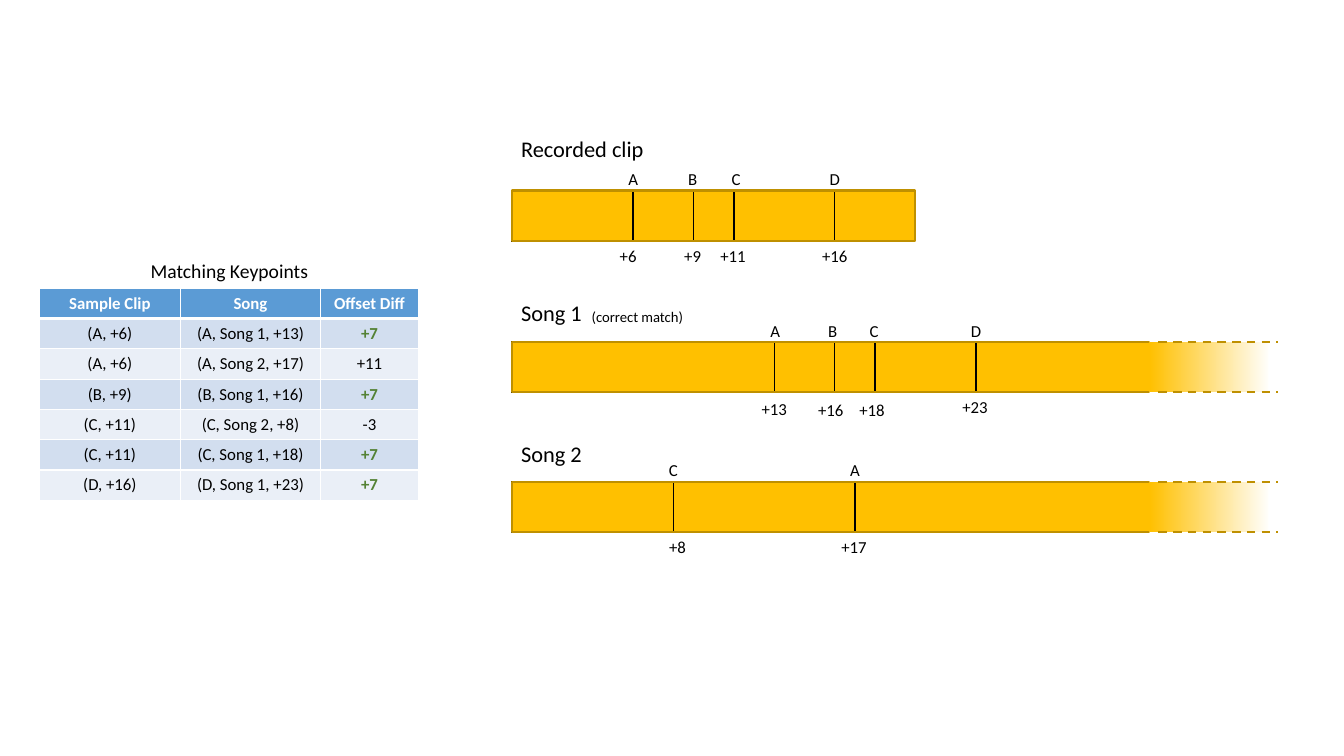
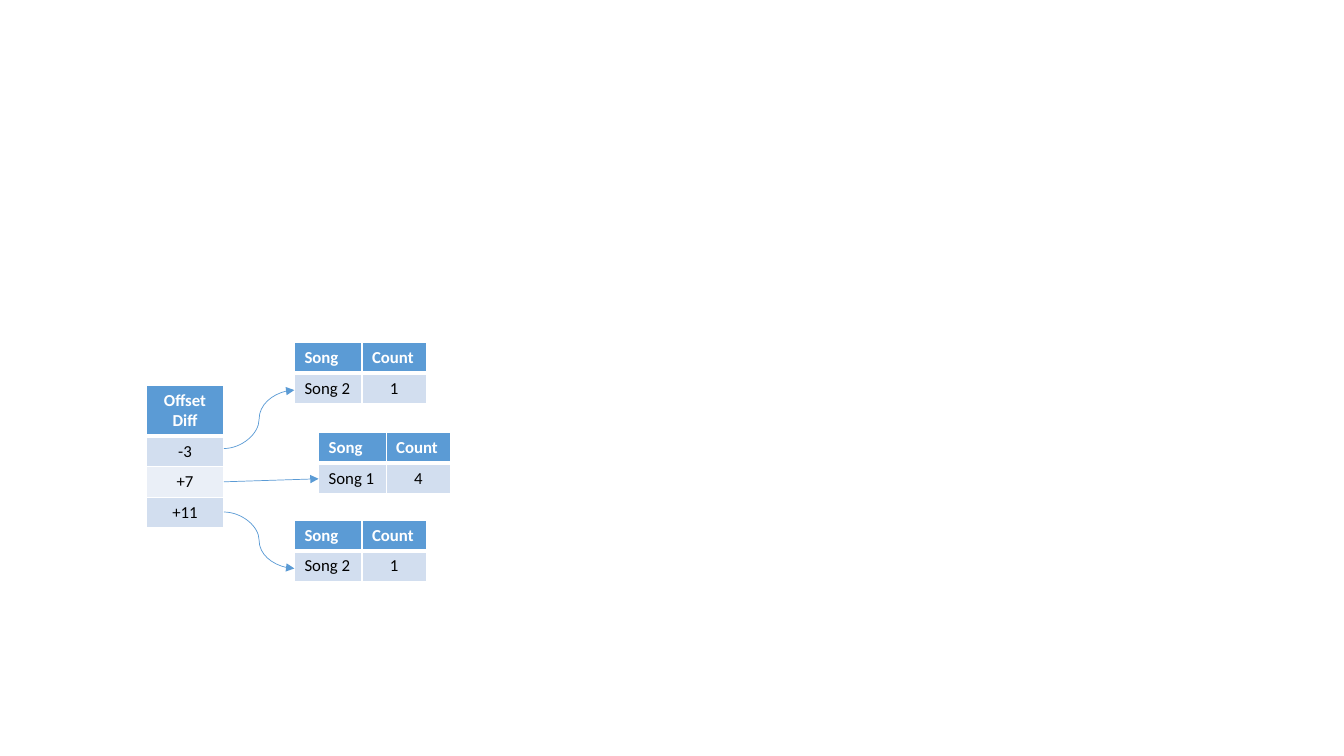
from lxml import etree
from pptx import Presentation
from pptx import util as u
from pptx.dml.color import RGBColor
from pptx.enum import dml, shapes, text
from pptx.oxml import ns

Inches, Pt = u.Inches, u.Pt
LEFT, CENTER = text.PP_ALIGN.LEFT, text.PP_ALIGN.CENTER

FONT = "Calibri"
BLACK = RGBColor(0x00, 0x00, 0x00)
WHITE = RGBColor(0xFF, 0xFF, 0xFF)
GOLD = RGBColor(0xFF, 0xC0, 0x00)
DARK_GOLD = RGBColor(0xBF, 0x90, 0x00)
BLUE = RGBColor(0x5B, 0x9B, 0xD5)
BAND_DARK = RGBColor(0xD2, 0xDE, 0xEF)
BAND_LIGHT = RGBColor(0xEA, 0xEF, 0xF7)
GREEN = RGBColor(0x54, 0x82, 0x35)

# Timeline scale
TRACK_LEFT, TRACK_HEIGHT = 5.08, 0.5
INCHES_PER_STEP = 0.2
SONG_WIDTH, FADE_WIDTH = 6.32, 1.2
LABEL_WIDTH, LABEL_HEIGHT = 0.46, 0.3

# Keypoints: letter, offset, letter nudge, number nudge, number drop below the bar
TRACKS = [
    {"title": "Recorded clip", "top": 1.89, "title_top": 1.29, "width": 4,
     "fades": False, "letter_rise": 0.27,
     "keypoints": [("A", 6, 0, -0.05, 0.5), ("B", 9, -0.01, -0.01, 0.5),
                   ("C", 11, 0.02, -0.01, 0.5), ("D", 16, 0, 0, 0.5)]},
    {"title": "Song 1", "note": "(correct match)", "top": 3.39, "title_top": 2.92,
     "width": SONG_WIDTH, "fades": True, "letter_rise": 0.26,
     "keypoints": [("A", 13, 0.01, 0, 0.52), ("B", 16, -0.02, -0.04, 0.53),
                   ("C", 18, -0.01, -0.03, 0.53), ("D", 23, 0, -0.01, 0.5)]},
    {"title": "Song 2", "top": 4.78, "title_top": 4.32, "width": SONG_WIDTH,
     "fades": True, "letter_rise": 0.27,
     "keypoints": [("A", 17, 0, -0.01, 0.5), ("C", 8, 0, 0.04, 0.5)]},
]

MATCHES = [
    ("Sample Clip", "Song", "Offset Diff"),
    ("(A, +6)", "(A, Song 1, +13)", "+7"),
    ("(A, +6)", "(A, Song 2, +17)", "+11"),
    ("(B, +9)", "(B, Song 1, +16)", "+7"),
    ("(C, +11)", "(C, Song 2, +8)", "-3"),
    ("(C, +11)", "(C, Song 1, +18)", "+7"),
    ("(D, +16)", "(D, Song 1, +23)", "+7"),
]
OFFSETS = [("Offset Diff",), ("-3",), ("+7",), ("+11",)]

# Count tables: left, top, song, count
COUNTS = [(2.92, 3.4, "Song 2", "1"), (3.16, 4.29, "Song 1", "4"), (2.92, 5.16, "Song 2", "1")]

CURVE, STRAIGHT = shapes.MSO_CONNECTOR.CURVE, shapes.MSO_CONNECTOR.STRAIGHT
ARROWS = [
    (CURVE, 2.22, 4.45, 2.92, 3.87),
    (CURVE, 2.22, 5.08, 2.92, 5.64),
    (STRAIGHT, 2.22, 4.78, 3.16, 4.75),
]


def write_text(frame, content, size=12, color=BLACK, bold=False, align=LEFT):
    paragraph = frame.paragraphs[0]
    paragraph.alignment = align
    run = paragraph.add_run()
    run.text = content
    run.font.name, run.font.size, run.font.bold = FONT, Pt(size), bold
    run.font.color.rgb = color


def add_label(container, content, left, top, width, height, wrap=True, **style):
    box = container.add_textbox(Inches(left), Inches(top), Inches(width), Inches(height))
    box.text_frame.word_wrap = wrap
    write_text(box.text_frame, content, **style)


def add_bar(container, left, top, width, fill=None, line=None, line_width=1):
    bar = container.add_shape(shapes.MSO_SHAPE.RECTANGLE, Inches(left), Inches(top),
                              Inches(width), Inches(TRACK_HEIGHT))
    bar.shadow.inherit = False
    if fill is None:
        bar.fill.background()
    else:
        bar.fill.solid()
        bar.fill.fore_color.rgb = fill
    if line is None:
        bar.line.fill.background()
    else:
        bar.line.color.rgb = line
        bar.line.width = Pt(line_width)
    return bar


def add_line(container, x1, y1, x2, y2, color=BLACK, width=1, kind=STRAIGHT,
             dashed=False, arrow=False):
    connector = container.add_connector(kind, Inches(x1), Inches(y1), Inches(x2), Inches(y2))
    connector.line.color.rgb = color
    connector.line.width = Pt(width)
    if dashed:
        connector.line.dash_style = dml.MSO_LINE.DASH
    properties = connector._element.spPr
    if arrow:
        etree.SubElement(properties.find(ns.qn("a:ln")), ns.qn("a:tailEnd"), type="triangle")
    etree.SubElement(properties, ns.qn("a:effectLst"))


def set_borders(cell, top, bottom):
    widths = {"a:lnL": 1, "a:lnR": 1, "a:lnT": top, "a:lnB": bottom}
    properties = cell._tc.get_or_add_tcPr()
    for index, (tag, width) in enumerate(widths.items()):
        border = etree.Element(ns.qn(tag), w=str(Pt(width)))
        fill = etree.SubElement(border, ns.qn("a:solidFill"))
        etree.SubElement(fill, ns.qn("a:srgbClr"), val=str(WHITE))
        properties.insert(index, border)


def add_grid(slide, rows, left, top, widths, header_height=0.3, left_cells=()):
    """Add a banded table; left_cells lists the (row, column) cells set flush left."""
    heights = [header_height] + [0.3] * (len(rows) - 1)
    table = slide.shapes.add_table(len(rows), len(widths), Inches(left), Inches(top),
                                   Inches(sum(widths)), Inches(sum(heights))).table
    for column, width in zip(table.columns, widths):
        column.width = Inches(width)
    for r, values in enumerate(rows):
        table.rows[r].height = Inches(heights[r])
        for c, value in enumerate(values):
            cell = table.cell(r, c)
            header = r == 0
            hit = len(widths) == 3 and value == "+7"
            cell.fill.solid()
            cell.fill.fore_color.rgb = BLUE if header else BAND_DARK if r % 2 else BAND_LIGHT
            set_borders(cell, top=3 if r == 1 else 1, bottom=3 if header else 1)
            write_text(cell.text_frame, value, bold=header or hit,
                       color=WHITE if header else GREEN if hit else BLACK,
                       align=LEFT if (r, c) in left_cells else CENTER)


def add_fade(container, top):
    """Let the bar run out to white between two dashed edges."""
    end = TRACK_LEFT + SONG_WIDTH
    fade = add_bar(container, end, top, FADE_WIDTH)
    fade.fill.gradient()
    fade.fill.gradient_angle = 180
    for stop, position, color in zip(fade.fill.gradient_stops, (0, 1), (WHITE, GOLD)):
        stop.position = position
        stop.color.rgb = color
    for y in (top, top + TRACK_HEIGHT):
        add_line(container, end + 0.09, y, end + 1.28, y, DARK_GOLD, 1.5, dashed=True)
    add_line(container, end, top + 0.01, end, top + TRACK_HEIGHT - 0.01, GOLD, 1.5)


def add_track(slide, track):
    container = slide.shapes.add_group_shape().shapes
    top, width, keypoints = track["top"], track["width"], track["keypoints"]
    add_bar(container, TRACK_LEFT, top, width, fill=GOLD)
    # Each segment runs from the start to its keypoint
    for _, offset, *_ in reversed(keypoints):
        add_bar(container, TRACK_LEFT, top, offset * INCHES_PER_STEP, line=BLACK)
    add_bar(container, TRACK_LEFT, top, width, line=DARK_GOLD, line_width=1.5)
    if track["fades"]:
        add_fade(container, top)
    for letter, offset, letter_nudge, number_nudge, drop in keypoints:
        x = TRACK_LEFT + offset * INCHES_PER_STEP
        for content, nudge, y in ((letter, letter_nudge, top - track["letter_rise"]),
                                  (f"+{offset}", number_nudge, top + drop)):
            add_label(container, content, x + nudge - LABEL_WIDTH / 2, y,
                      LABEL_WIDTH, LABEL_HEIGHT, wrap=False, align=CENTER)
    add_label(container, track["title"], 5.07, track["title_top"], 2.2, 0.37, size=16)
    if "note" in track:
        add_label(container, track["note"], 5.77, track["title_top"] + 0.08, 1.5, 0.28, size=10.5)


def main():
    presentation = Presentation()
    presentation.slide_width, presentation.slide_height = Inches(13.33), Inches(7.5)
    blank = presentation.slide_layouts[6]

    # Keypoint matching
    slide = presentation.slides.add_slide(blank)
    for track in TRACKS:
        add_track(slide, track)
    add_grid(slide, MATCHES, 0.39, 2.86, (1.4, 1.39, 0.97))
    add_label(slide.shapes, "Matching Keypoints", 0.24, 2.52, 4.07, 0.34, size=14, align=CENTER)

    # Offset lookup
    slide = presentation.slides.add_slide(blank)
    add_grid(slide, OFFSETS, 1.45, 3.82, (0.77,), header_height=0.5)
    for left, top, song, count in COUNTS:
        add_grid(slide, [("Song", "Count"), (song, count)], left, top, (0.67, 0.64),
                 left_cells={(0, 0), (0, 1), (1, 0)})
    for kind, *ends in ARROWS:
        add_line(slide.shapes, *ends, color=BLUE, width=0.5, kind=kind, arrow=True)

    presentation.save("out.pptx")


if __name__ == "__main__":
    main()
